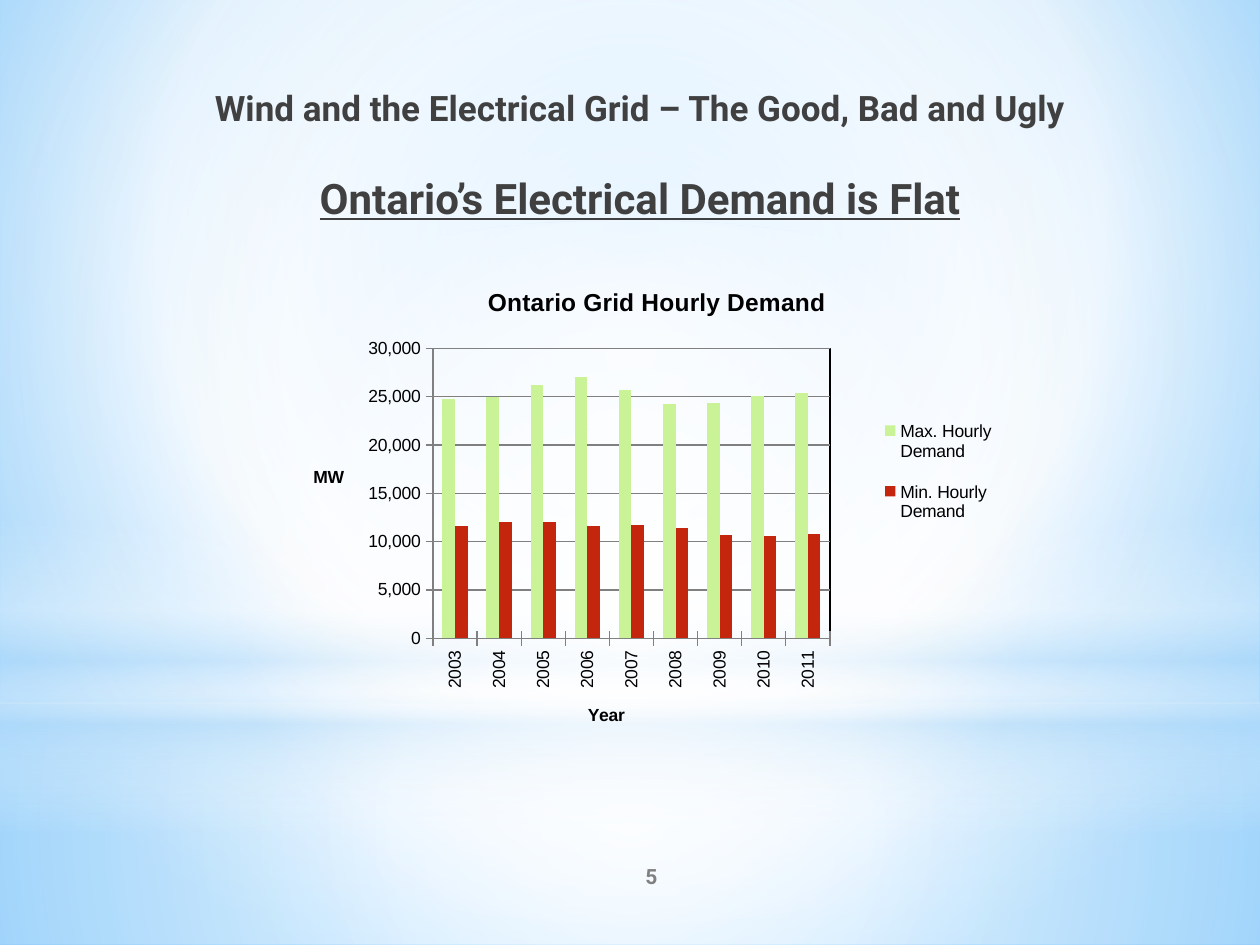
import dataclasses

import lxml.etree
import pptx
import pptx.chart.data
import pptx.dml.color
import pptx.enum.chart
import pptx.enum.shapes
import pptx.enum.text
import pptx.oxml
import pptx.oxml.ns
import pptx.util

Inches = pptx.util.Inches
Pt = pptx.util.Pt
qn = pptx.oxml.ns.qn
MSO_SHAPE = pptx.enum.shapes.MSO_SHAPE
PP_ALIGN = pptx.enum.text.PP_ALIGN
CHART = pptx.enum.chart


@dataclasses.dataclass(frozen=True)
class Theme:
    white: str = "FFFFFF"
    haze: str = "B4DCFA"
    heading: str = "404040"
    muted: str = "808080"
    black: str = "000000"
    maximum: str = "CAF297"
    minimum: str = "C3260C"
    text_font: str = "Roboto"
    chart_font: str = "Arial"
    heading_size: int = 20
    topic_size: int = 24
    number_size: int = 12
    chart_title_size: int = 14
    chart_size: int = 10


THEME = Theme()
CENTER = (50, 50, 50, 50)


def rgb(color):
    return pptx.dml.color.RGBColor.from_string(color)


def set_values(target, values):
    for name, value in values.items():
        setattr(target, name, value)


def set_font(font, name, size, color, **extra):
    set_values(font, {"name": name, "size": Pt(size), **extra})
    font.color.rgb = rgb(color)


def add_child(parent, tag, **attributes):
    child = lxml.etree.SubElement(parent, qn(tag))
    for name, value in attributes.items():
        child.set(name, str(value))
    return child


def set_gradient(fill, owner, stops, focus=None, angle=0):
    fill.gradient()
    gradient = owner.find(".//" + qn("a:gradFill"))
    for child in list(gradient):
        gradient.remove(child)
    stop_list = add_child(gradient, "a:gsLst")
    for position, color, opacity in stops:
        stop = add_child(stop_list, "a:gs", pos=position * 1000)
        tone = add_child(stop, "a:srgbClr", val=color)
        if opacity < 100:
            add_child(tone, "a:alpha", val=opacity * 1000)
    if focus:
        path = add_child(gradient, "a:path", path="circle")
        edges = {edge: value * 1000 for edge, value in zip("ltrb", focus)}
        add_child(path, "a:fillToRect", **edges)
    else:
        add_child(gradient, "a:lin", ang=angle * 60000, scaled=0)


def add_glow(slide, kind, box, stops, focus=None, angle=0):
    shape = slide.shapes.add_shape(kind, *map(Inches, box))
    shape.shadow.inherit = False
    shape.line.fill.background()
    set_gradient(shape.fill, shape.element, stops, focus, angle)


def add_backdrop(slide):
    white, haze = THEME.white, THEME.haze
    set_gradient(slide.background.fill, slide.element,
                 [(0, "9ED5FF", 100), (60, white, 100), (100, "5BB9FF", 100)], (20, 10, 20, 60))
    rectangle = MSO_SHAPE.RECTANGLE
    add_glow(slide, rectangle, (0, 5.58, 10, 1.92),
             [(0, white, 91), (37, white, 76), (100, haze, 79)], CENTER)
    add_glow(slide, rectangle, (0, 0, 10, 5.58),
             [(0, white, 89), (48, white, 62), (100, haze, 79)], CENTER)
    add_glow(slide, rectangle, (0, 4.12, 10, 2.5),
             [(0, white, 0), (29, white, 30), (45, haze, 40),
              (55, white, 26), (65, haze, 60), (100, white, 0)], angle=90)
    add_glow(slide, MSO_SHAPE.OVAL, (0, 1.75, 10, 5.58),
             [(0, white, 100), (56, white, 0)], CENTER)


def add_text(slide, box, lines, color, anchor, gap=0, indent=0):
    frame = slide.shapes.add_textbox(*map(Inches, box)).text_frame
    set_values(frame, {"word_wrap": True, "vertical_anchor": anchor})
    for index, (text, size, underline) in enumerate(lines):
        paragraph = frame.add_paragraph() if index else frame.paragraphs[0]
        paragraph.alignment = PP_ALIGN.CENTER
        if index:
            paragraph.space_before = Pt(gap)
        paragraph._p.get_or_add_pPr().set("marL", str(Inches(indent)))
        run = paragraph.add_run()
        run.text = text
        set_font(run.font, THEME.text_font, size, color, bold=True, underline=underline)


def set_layout(element, index, inner=False, **position):
    for old in element.findall(qn("c:layout")):
        element.remove(old)
    layout = pptx.oxml.parse_xml(f"<c:layout {pptx.oxml.ns.nsdecls('c')}/>")
    manual = add_child(layout, "c:manualLayout")
    if inner:
        add_child(manual, "c:layoutTarget", val="inner")
    for mode in ("xMode", "yMode"):
        add_child(manual, f"c:{mode}", val="edge")
    for name, value in position.items():
        add_child(manual, f"c:{name}", val=value)
    element.insert(index, layout)


def set_title(title, text, size, x, y):
    frame = title.text_frame
    frame.text = text
    frame._txBody.bodyPr.set("rot", "0")
    set_font(frame.paragraphs[0].runs[0].font, THEME.chart_font, size, THEME.black, bold=True)
    set_layout(title._element, 1, x=x, y=y)


def style_axis(axis, title, x, y):
    set_values(axis, {"major_tick_mark": CHART.XL_TICK_MARK.CROSS,
                      "minor_tick_mark": CHART.XL_TICK_MARK.NONE})
    axis.format.line.color.rgb = rgb(THEME.muted)
    set_title(axis.axis_title, title, THEME.chart_size, x, y)


def add_plot_border(plot_area):
    properties = add_child(plot_area, "c:spPr")
    add_child(properties, "a:noFill")
    line = add_child(properties, "a:ln", w=Pt(0.75))
    add_child(add_child(line, "a:solidFill"), "a:srgbClr", val=THEME.black)


def add_demand_chart(slide, box, years, demand):
    data = pptx.chart.data.CategoryChartData(number_format="#,##0")
    data.categories = years
    for name, values, _ in demand:
        data.add_series(name, values)
    chart = slide.shapes.add_chart(
        CHART.XL_CHART_TYPE.COLUMN_CLUSTERED, *map(Inches, box), data).chart
    set_font(chart.font, THEME.chart_font, THEME.chart_size, THEME.black)
    set_title(chart.chart_title, "Ontario Grid Hourly Demand", THEME.chart_title_size, 0.27, 0.05)

    style_axis(chart.category_axis, "Year", 0.41, 0.93)
    set_font(chart.category_axis.tick_labels.font, THEME.chart_font, THEME.chart_size, THEME.black)
    chart.category_axis._element.find(qn("c:txPr")).bodyPr.set("rot", str(-90 * 60000))
    value_axis = chart.value_axis
    style_axis(value_axis, "MW", 0.03, 0.43)
    set_values(value_axis, {"minimum_scale": 0, "maximum_scale": 30000,
                            "major_unit": 5000, "has_major_gridlines": True})
    value_axis.major_gridlines.format.line.color.rgb = rgb(THEME.muted)
    set_values(value_axis.tick_labels,
               {"number_format": "#,##0", "number_format_is_linked": False})

    plot = chart.plots[0]
    set_values(plot, {"vary_by_categories": False, "gap_width": 150, "overlap": 0})
    for series, (_, _, color) in zip(plot.series, demand):
        series.format.fill.solid()
        series.format.fill.fore_color.rgb = rgb(color)

    chart.has_legend = True
    set_values(chart.legend, {"position": CHART.XL_LEGEND_POSITION.RIGHT,
                              "include_in_layout": False})
    set_layout(chart.legend._element, 1, x=0.8, y=0.3, w=0.2, h=0.3)
    plot_area = chart._chartSpace.chart.plotArea
    set_layout(plot_area, 0, inner=True, x=0.2, y=0.19, w=0.55, h=0.61)
    add_plot_border(plot_area)


def main():
    presentation = pptx.Presentation()
    set_values(presentation, {"slide_width": Inches(10), "slide_height": Inches(7.5)})
    slide = presentation.slides.add_slide(presentation.slide_layouts[6])
    add_backdrop(slide)
    anchor = pptx.enum.text.MSO_ANCHOR
    add_text(slide, (1.05, 0.64, 7.86, 1.39),
             [("Wind and the Electrical Grid – The Good, Bad and Ugly", THEME.heading_size, False),
              ("Ontario’s Electrical Demand is Flat", THEME.topic_size, True)],
             THEME.heading, anchor.TOP, gap=25, indent=0.2)
    add_text(slide, (4.17, 6.75, 2, 0.4), [("5", THEME.number_size, False)],
             THEME.muted, anchor.MIDDLE)
    add_demand_chart(slide, (2.29, 2.05, 5.73, 3.77), [str(year) for year in range(2003, 2012)], [
        ("Max. Hourly Demand",
         (24800, 25000, 26200, 27000, 25700, 24200, 24400, 25100, 25400), THEME.maximum),
        ("Min. Hourly Demand",
         (11600, 12000, 12000, 11600, 11700, 11400, 10700, 10600, 10800), THEME.minimum)])
    presentation.save("out.pptx")


if __name__ == "__main__":
    main()
